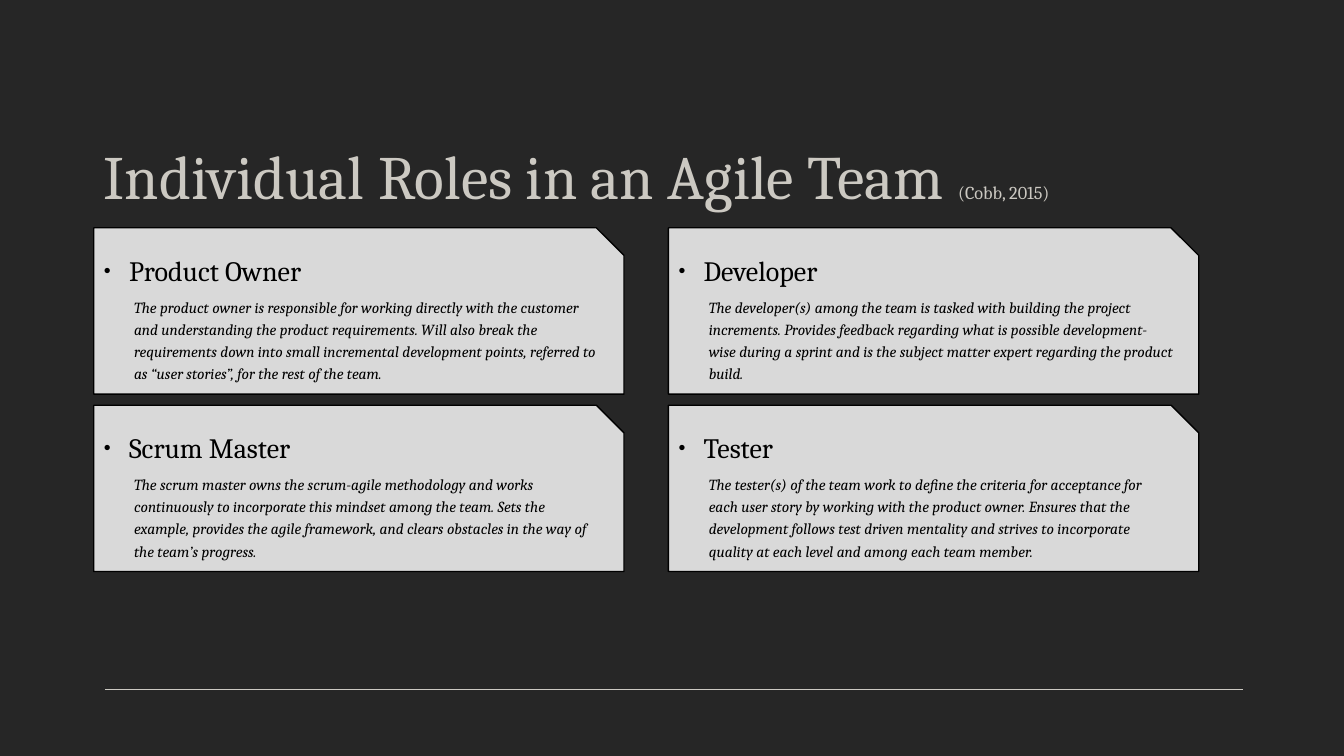
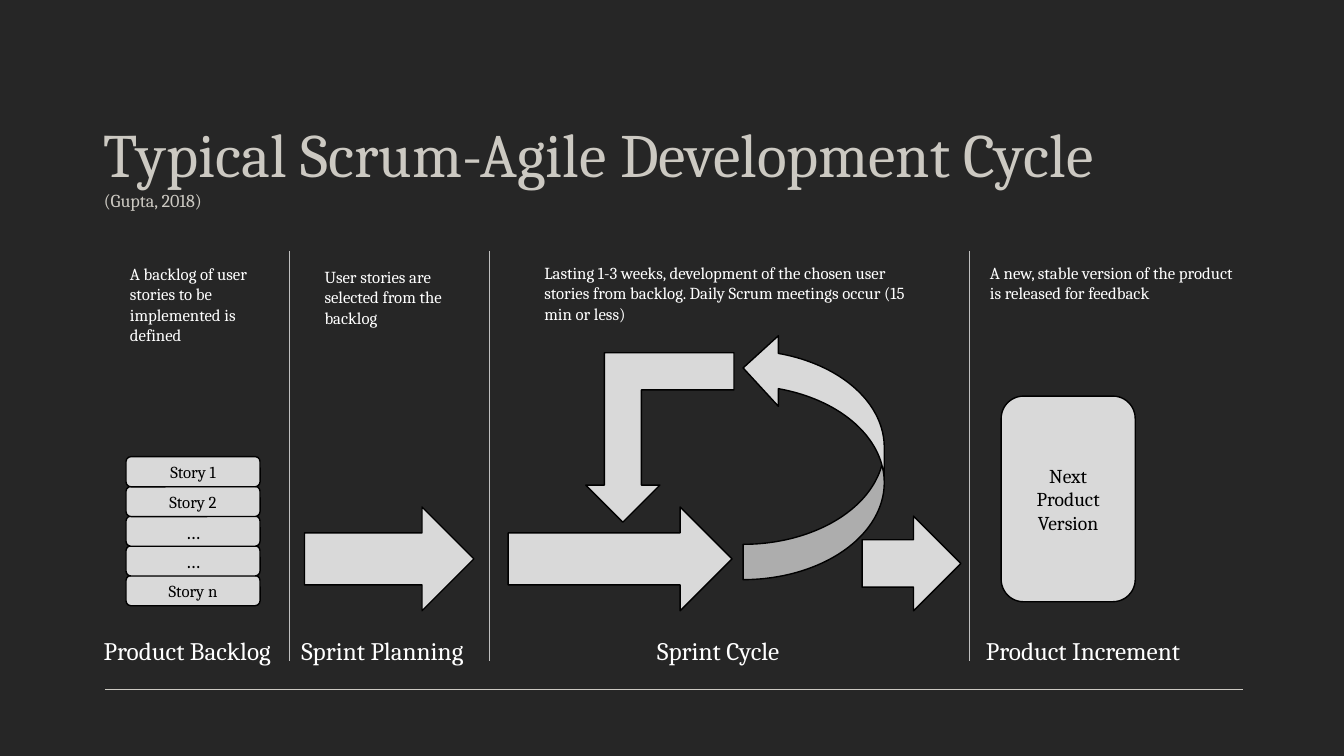
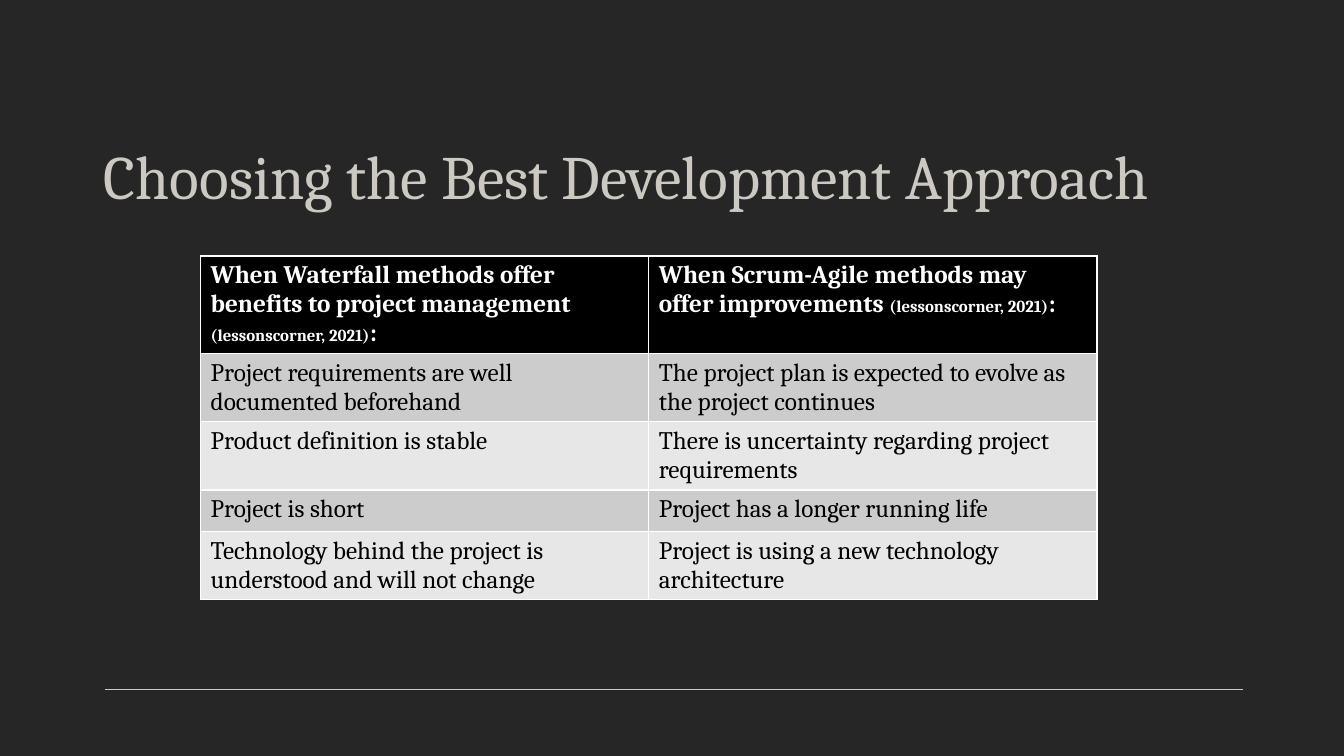
from dataclasses import dataclass

from lxml import etree
from pptx import Presentation
from pptx.dml.color import RGBColor
from pptx.enum.shapes import MSO_CONNECTOR, MSO_SHAPE
from pptx.enum.text import MSO_ANCHOR, MSO_AUTO_SIZE, PP_ALIGN
from pptx.oxml.ns import qn
from pptx.util import Inches, Pt

# Shared look
FONT = "Cambria"
DARK = RGBColor(0x26, 0x26, 0x26)
STONE = RGBColor(0xCC, 0xC9, 0xC2)
PANEL = RGBColor(0xD9, 0xD9, 0xD9)
DIVIDER = RGBColor(0xBF, 0xBF, 0xBF)
BAND_DARK = RGBColor(0xCC, 0xCC, 0xCC)
BAND_LIGHT = RGBColor(0xE7, 0xE7, 0xE7)
BLACK = RGBColor(0, 0, 0)
WHITE = RGBColor(0xFF, 0xFF, 0xFF)
TITLE_SIZE, CITE_SIZE = 44, 13
TITLE_ONLY, COMPARISON = 5, 4


@dataclass
class Box:
    """A region of the slide, in inches."""
    x: float
    y: float
    w: float
    h: float

    def inner(self, dx, dy, w, h):
        return Box(self.x + dx, self.y + dy, w, h)

    def emu(self):
        return [Inches(v) for v in (self.x, self.y, self.w, self.h)]


TITLE_BOX = Box(0.93, 0.96, 11.4, 1.19)
CARDS_BOX = Box(0.93, 2.26, 10.96, 3.41)
TABLE_BOX = Box(1.99, 2.54, 8.89, 2.05)
CYCLE_TOP, CYCLE_HEIGHT = 2.49, 4.07
CYCLE_EDGES = [0.93, 2.87, 4.85, 9.61, 12.36]


# Shared helpers
def write(p, pieces, color, bold=False, italic=False):
    """Fill a paragraph with (text, size) pieces."""
    for text, size in pieces:
        r = p.add_run()
        r.text = text
        font = r.font
        font.name, font.size, font.color.rgb = FONT, Pt(size), color
        font.bold, font.italic = bold, italic


def place(shape, box):
    shape.left, shape.top, shape.width, shape.height = box.emu()


def paint(shape):
    shape.fill.solid()
    shape.fill.fore_color.rgb = PANEL
    shape.line.color.rgb = BLACK
    shape.line.width = Pt(1)


def add_line(s, x1, y1, x2, y2, color, width):
    line = s.shapes.add_connector(
        MSO_CONNECTOR.STRAIGHT, *[Inches(v) for v in (x1, y1, x2, y2)])
    line.line.color.rgb = color
    line.line.width = Pt(width)
    etree.SubElement(line.element.spPr, qn("a:effectLst"))
    return line


def add_panel(s, kind, box, text="", size=12, rotation=0):
    sp = s.shapes.add_shape(kind, *box.emu())
    sp.shadow.inherit = False
    sp.rotation = rotation
    paint(sp)
    if text:
        tf = sp.text_frame
        tf.word_wrap = True
        tf.vertical_anchor = MSO_ANCHOR.MIDDLE
        tf.paragraphs[0].alignment = PP_ALIGN.CENTER
        write(tf.paragraphs[0], [(text, size)], BLACK)


def add_label(s, box, text, size):
    tf = s.shapes.add_textbox(*box.emu()).text_frame
    tf.word_wrap = True
    write(tf.paragraphs[0], [(text, size)], WHITE)


def add_slide(prs, layout, title, cite="", cite_below=False):
    s = prs.slides.add_slide(prs.slide_layouts[layout])
    place(s.shapes.title, TITLE_BOX)
    tf = s.shapes.title.text_frame
    tf.word_wrap = True
    tf.auto_size = MSO_AUTO_SIZE.NONE
    tf.vertical_anchor = MSO_ANCHOR.BOTTOM
    p = tf.paragraphs[0]
    p.alignment = PP_ALIGN.LEFT
    write(p, [(title, TITLE_SIZE)], STONE)
    if cite_below:
        p.add_line_break()
    if cite:
        write(p, [(cite, CITE_SIZE)], STONE)
    return s


def style_master(prs, s):
    """Give the master its background and the footer rule."""
    master = prs.slide_master
    master.background.fill.solid()
    master.background.fill.fore_color.rgb = DARK
    rule = add_line(s, 1.04, 6.84, 12.33, 6.84, STONE, 0.85)
    master.shapes.element.append(rule.element)


# Role cards
def set_bullet(p, margin, indent, char=None):
    pPr = p._p.get_or_add_pPr()
    pPr.set("marL", str(Inches(margin)))
    pPr.set("indent", str(Inches(indent)))
    if char:
        etree.SubElement(pPr, qn("a:buSzPct"), val="70000")
        etree.SubElement(pPr, qn("a:buFont"), typeface="Arial")
        etree.SubElement(pPr, qn("a:buChar"), char=char)
    else:
        etree.SubElement(pPr, qn("a:buNone"))


def role_card(card, box, role, duty):
    place(card, box)
    geom = etree.SubElement(card.element.spPr, qn("a:prstGeom"), prst="snip1Rect")
    etree.SubElement(geom, qn("a:avLst"))
    paint(card)
    tf = card.text_frame
    tf.word_wrap = True
    tf.auto_size = MSO_AUTO_SIZE.NONE
    tf.vertical_anchor = MSO_ANCHOR.TOP
    head, body = tf.paragraphs[0], tf.add_paragraph()
    body.level = 1
    for p, before in ((head, 10), (body, 5)):
        p.line_spacing = 1.2
        p.space_before = Pt(before)
    set_bullet(head, 0.25, -0.25, "•")
    set_bullet(body, 0.3, 0)
    write(head, [(role, 20)], BLACK)
    write(body, [(duty, 11)], BLACK, italic=True)


def role_grid(s, box, roles, gap_x=0.44, gap_y=0.11):
    w, h = (box.w - gap_x) / 2, (box.h - gap_y) / 2
    cards = [ph for ph in s.placeholders if ph.placeholder_format.idx > 0]
    for i, (card, (role, duty)) in enumerate(zip(cards, roles)):
        col, row = divmod(i, 2)
        role_card(card, box.inner(col * (w + gap_x), row * (h + gap_y), w, h),
                  role, duty)


# Stages of the development cycle
def backlog_stage(s, box):
    add_label(s, box.inner(0, 3.76, 1.95, 0.4), "Product Backlog", 18)
    add_label(s, box.inner(0.26, 0.08, 1.68, 0.91),
              "A backlog of user stories to be implemented is defined", 12)
    stories = ["Story 1", "Story 2", "…", "…", "Story n"]
    pitch = 1.18 / (len(stories) - 1)
    for i, story in reversed(list(enumerate(stories))):
        add_panel(s, MSO_SHAPE.ROUNDED_RECTANGLE,
                  box.inner(0.32, 2.04 + i * pitch, 1.33, 0.3),
                  story, 14 if story == "…" else 12)


def planning_stage(s, box):
    add_panel(s, MSO_SHAPE.RIGHT_ARROW, box.inner(0.15, 2.54, 1.68, 1.03))
    add_label(s, box.inner(0.02, 3.76, 1.89, 0.4), "Sprint Planning", 18)
    add_label(s, box.inner(0.25, 0.11, 1.68, 0.71),
              "User stories are selected from the backlog", 12)


def sprint_stage(s, box):
    add_panel(s, MSO_SHAPE.RIGHT_ARROW, box.inner(0.19, 2.54, 2.22, 1.03))
    add_panel(s, MSO_SHAPE.CURVED_RIGHT_ARROW,
              box.inner(2.52, 0.81, 1.4, 2.45), rotation=180)
    add_panel(s, MSO_SHAPE.BENT_UP_ARROW,
              box.inner(0.96, 1.01, 1.47, 1.68), rotation=180)
    add_panel(s, MSO_SHAPE.RIGHT_ARROW, box.inner(3.7, 2.63, 0.98, 0.94))
    add_label(s, box.inner(1.57, 3.76, 1.55, 0.4), "Sprint Cycle", 18)
    add_label(s, box.inner(0.45, 0.07, 3.8, 0.71),
              "Lasting 1-3 weeks, development of the chosen user stories from "
              "backlog. Daily Scrum meetings occur (15 min or less)", 12)


def increment_stage(s, box):
    add_panel(s, MSO_SHAPE.ROUNDED_RECTANGLE, box.inner(0.32, 1.44, 1.33, 2.04),
              "Next Product Version", 14)
    add_label(s, box.inner(0.07, 3.76, 2.22, 0.4), "Product Increment", 18)
    add_label(s, box.inner(0.11, 0.07, 2.64, 0.5),
              "A new, stable version of the product is released for feedback", 12)


def cycle(s):
    stages = [backlog_stage, planning_stage, sprint_stage, increment_stage]
    for x in CYCLE_EDGES[1:-1]:
        add_line(s, x, CYCLE_TOP, x, CYCLE_TOP + CYCLE_HEIGHT, DIVIDER, 0.5)
    for stage, left, right in zip(stages, CYCLE_EDGES, CYCLE_EDGES[1:]):
        stage(s, Box(left, CYCLE_TOP, right - left, CYCLE_HEIGHT))


# Comparison table
def comparison_table(s, box, headers, rows):
    table = s.shapes.add_table(len(rows) + 1, len(headers), *box.emu()).table
    for i, row in enumerate([headers] + rows):
        for j, text in enumerate(row):
            cell = table.cell(i, j)
            cell.fill.solid()
            p = cell.text_frame.paragraphs[0]
            if i == 0:
                cell.fill.fore_color.rgb = BLACK
                pieces = [(text, 18), ("(lessonscorner, 2021)", 12), (":", 18)]
                write(p, pieces, WHITE, bold=True)
            else:
                cell.fill.fore_color.rgb = BAND_DARK if i % 2 else BAND_LIGHT
                write(p, [(text, 18)], BLACK)


ROLES = [
    ("Product Owner",
     "The product owner is responsible for working directly with the customer "
     "and understanding the product requirements. Will also break the "
     "requirements down into small incremental development points, referred to "
     "as “user stories”, for the rest of the team."),
    ("Scrum Master",
     "The scrum master owns the scrum-agile methodology and works continuously "
     "to incorporate this mindset among the team. Sets the example, provides "
     "the agile framework, and clears obstacles in the way of the team’s "
     "progress."),
    ("Developer",
     "The developer(s) among the team is tasked with building the project "
     "increments. Provides feedback regarding what is possible "
     "development-wise during a sprint and is the subject matter expert "
     "regarding the product build."),
    ("Tester",
     "The tester(s) of the team work to define the criteria for acceptance for "
     "each user story by working with the product owner. Ensures that the "
     "development follows test driven mentality and strives to incorporate "
     "quality at each level and among each team member."),
]
HEADERS = ["When Waterfall methods offer benefits to project management ",
           "When Scrum-Agile methods may offer improvements "]
CONDITIONS = [
    ["Project requirements are well documented beforehand",
     "The project plan is expected to evolve as the project continues"],
    ["Product definition is stable",
     "There is uncertainty regarding project requirements"],
    ["Project is short", "Project has a longer running life"],
    ["Technology behind the project is understood and will not change",
     "Project is using a new technology architecture"],
]

prs = Presentation()
prs.slide_width, prs.slide_height = Inches(13.33), Inches(7.5)

s = add_slide(prs, COMPARISON, "Individual Roles in an Agile Team ", "(Cobb, 2015)")
style_master(prs, s)
role_grid(s, CARDS_BOX, ROLES)

s = add_slide(prs, TITLE_ONLY, "Typical Scrum-Agile Development Cycle ",
              "(Gupta, 2018)", cite_below=True)
cycle(s)

s = add_slide(prs, TITLE_ONLY, "Choosing the Best Development Approach")
comparison_table(s, TABLE_BOX, HEADERS, CONDITIONS)

prs.save("out.pptx")
